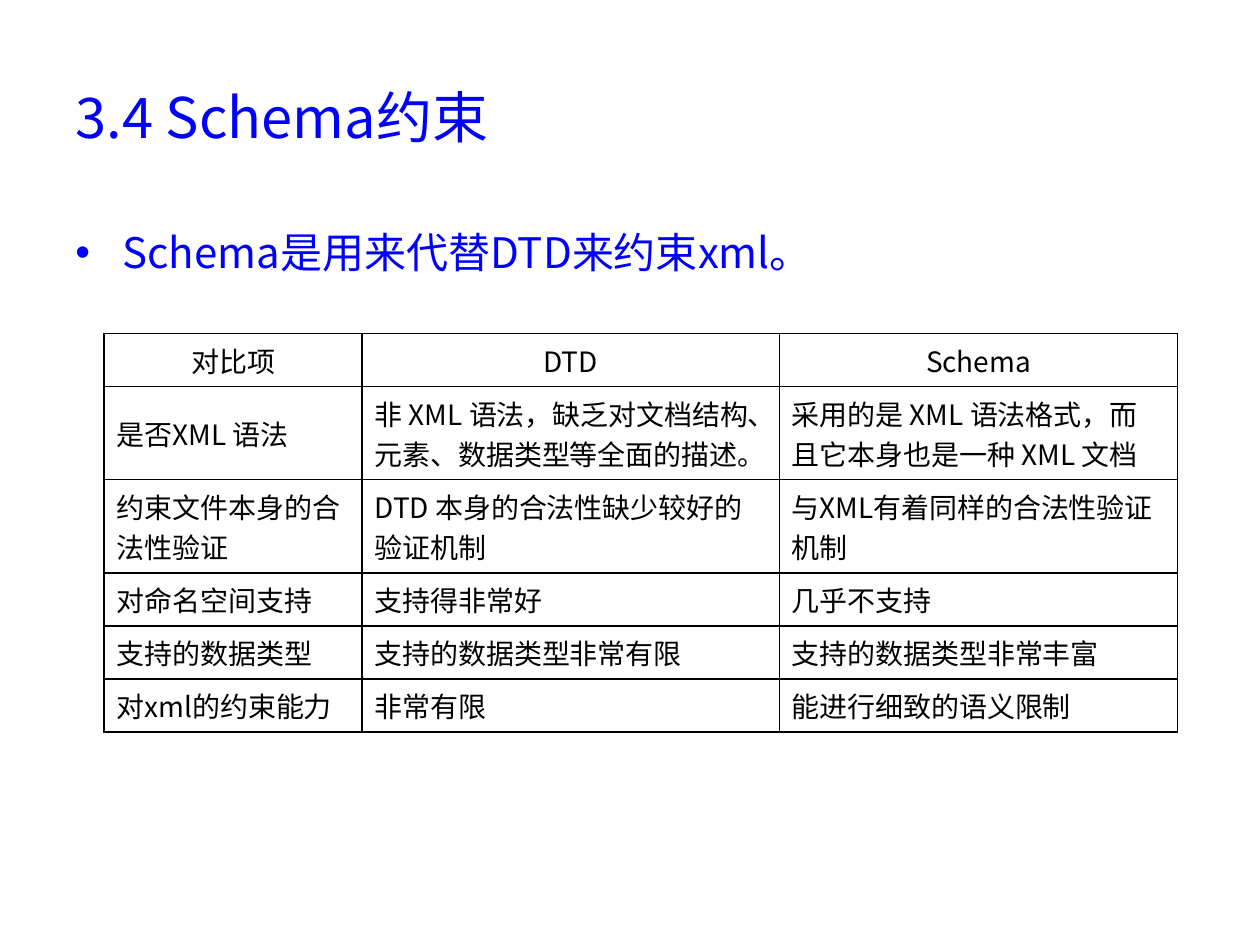
from dataclasses import dataclass

from lxml import etree
from pptx import Presentation
from pptx.dml.color import RGBColor
from pptx.enum.text import MSO_ANCHOR, PP_ALIGN
from pptx.oxml.ns import qn
from pptx.util import Cm, Pt

LEFT, CENTER = PP_ALIGN.LEFT, PP_ALIGN.CENTER
TOP, MIDDLE = MSO_ANCHOR.TOP, MSO_ANCHOR.MIDDLE
FONT = "Noto Sans CJK SC"
COLORS = {"blue": "0000FF", "black": "000000", "white": "FFFFFF"}


@dataclass
class TextBox:
    text: str
    top: float
    height: float
    size: int
    anchor: MSO_ANCHOR
    bullet: bool = False


@dataclass
class Row:
    cells: tuple[str, str, str]
    height: float = 1.07
    align: PP_ALIGN = LEFT


BOXES = [
    TextBox("3.4 Schema约束", 0.76, 3.18, 32, MIDDLE),
    TextBox("Schema是用来代替DTD来约束xml。", 4.45, 12.57, 24, TOP, True),
]
COL_WIDTHS = [5.2, 8.41, 8.03]
ROWS = [
    Row(("对比项", "DTD", "Schema"), align=CENTER),
    Row(("是否XML 语法", "非 XML 语法，缺乏对文档结构、元素、数据类型等全面的描述。",
         "采用的是 XML 语法格式，而且它本身也是一种 XML 文档"), 1.88),
    Row(("约束文件本身的合法性验证", "DTD 本身的合法性缺少较好的验证机制",
         "与XML有着同样的合法性验证机制"), 1.88),
    Row(("对命名空间支持", "支持得非常好", "几乎不支持")),
    Row(("支持的数据类型", "支持的数据类型非常有限", "支持的数据类型非常丰富")),
    Row(("对xml的约束能力", "非常有限", "能进行细致的语义限制")),
]


def write(tf, text: str, *, size: int, color: str, align=LEFT, bullet=False) -> None:
    tf.word_wrap = True
    p = tf.paragraphs[0]
    p.alignment = align
    if bullet:
        p.space_before = Pt(size * 0.2)
        pPr = p._p.get_or_add_pPr()
        pPr.set("marL", str(Cm(0.95)))
        pPr.set("indent", str(-Cm(0.95)))
        etree.SubElement(pPr, qn("a:buFont"), typeface="Arial")
        etree.SubElement(pPr, qn("a:buChar"), char="•")
    r = p.add_run()
    r.text = text
    r.font.size = Pt(size)
    r.font.color.rgb = RGBColor.from_string(COLORS[color])
    r.font.name = FONT
    etree.SubElement(r._r.get_or_add_rPr(), qn("a:ea"), typeface=FONT)


def add_box(s, box: TextBox) -> None:
    tf = s.shapes.add_textbox(Cm(1.27), Cm(box.top), Cm(22.86), Cm(box.height)).text_frame
    tf.vertical_anchor = box.anchor
    write(tf, box.text, size=box.size, color="blue", bullet=box.bullet)


def set_borders(cell) -> None:
    tcPr = cell._tc.get_or_add_tcPr()
    for side in ("L", "R", "T", "B"):
        ln = etree.SubElement(tcPr, qn(f"a:ln{side}"), w=str(Pt(1)))
        fill = etree.SubElement(ln, qn("a:solidFill"))
        etree.SubElement(fill, qn("a:srgbClr"), val=COLORS["black"])


def add_comparison(s) -> None:
    tbl = s.shapes.add_table(len(ROWS), len(COL_WIDTHS), Cm(2.1), Cm(6.72),
                             Cm(sum(COL_WIDTHS)), Cm(sum(row.height for row in ROWS))).table
    tbl.first_row = tbl.horz_banding = False
    for col, width in zip(tbl.columns, COL_WIDTHS):
        col.width = Cm(width)
    for i, row in enumerate(ROWS):
        tbl.rows[i].height = Cm(row.height)
        for j, text in enumerate(row.cells):
            cell = tbl.cell(i, j)
            cell.vertical_anchor = MIDDLE
            set_borders(cell)
            cell.fill.solid()
            cell.fill.fore_color.rgb = RGBColor.from_string(COLORS["white"])
            write(cell.text_frame, text, size=16, color="black", align=row.align)


prs = Presentation()
prs.slide_width, prs.slide_height = Cm(25.4), Cm(19.05)
s = prs.slides.add_slide(prs.slide_layouts[6])
for box in BOXES:
    add_box(s, box)
add_comparison(s)
prs.save("out.pptx")
